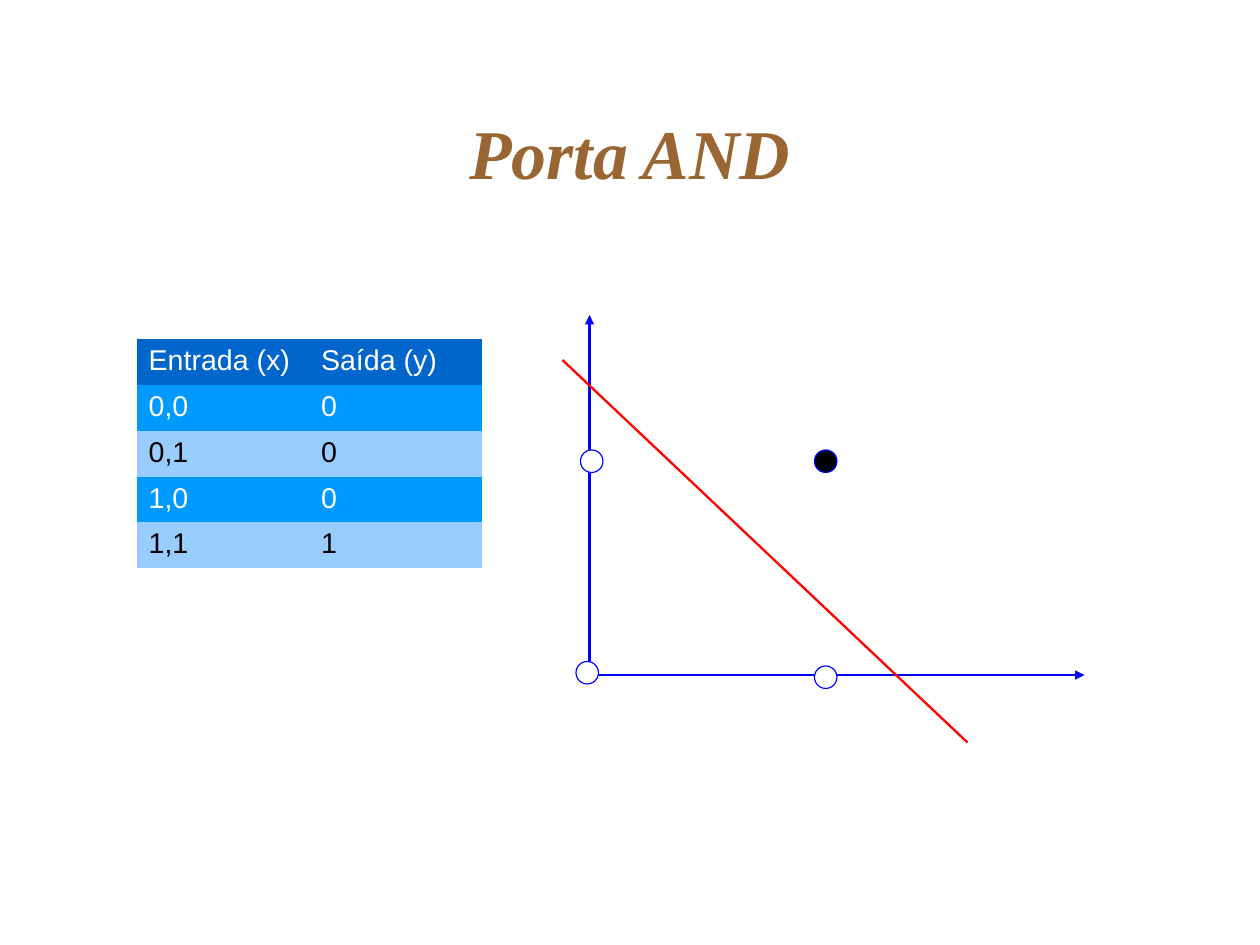
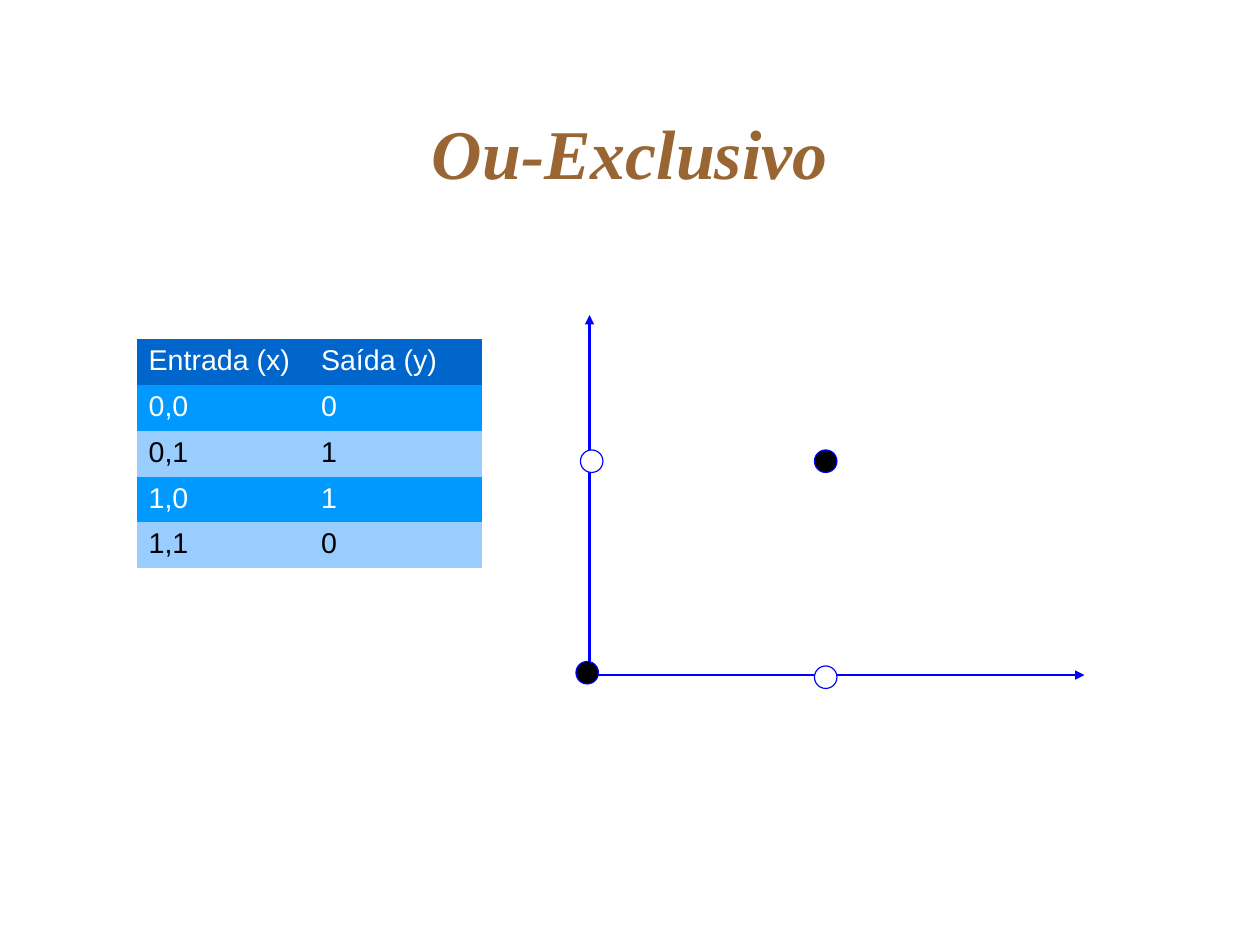
from pptx import Presentation
from pptx.dml.color import RGBColor
from pptx.enum.shapes import MSO_CONNECTOR as Connector, MSO_SHAPE as Shape
from pptx.enum.text import MSO_ANCHOR as Anchor, PP_ALIGN as Align
from pptx.oxml.ns import qn
from pptx.util import Cm, Pt
from lxml.etree import SubElement

BROWN = RGBColor(0x99, 0x66, 0x33)
BLUE = RGBColor(0x00, 0x00, 0xFF)
RED = RGBColor(0xFF, 0x00, 0x00)
BLACK = RGBColor(0x00, 0x00, 0x00)
WHITE = RGBColor(0xFF, 0xFF, 0xFF)
HEADER_BLUE = RGBColor(0x00, 0x66, 0xCC)
ODD_BLUE = RGBColor(0x00, 0x99, 0xFF)
EVEN_BLUE = RGBColor(0x99, 0xCC, 0xFF)

COLUMNS, ROWS = 28, 21
CELL = Cm(1)
PLAIN_TABLE = "{2D5ABB26-0587-4C30-8999-92F81FD0307C}"

TITLE_FONT = {"name": "Times New Roman", "size": Pt(44), "bold": True, "italic": True}
TABLE_FONT = {"name": "Arial", "size": Pt(18)}
TITLE_FRAME = {
    "word_wrap": True, "vertical_anchor": Anchor.MIDDLE,
    "margin_left": 0, "margin_right": 0, "margin_top": 0, "margin_bottom": 0,
}

INPUTS = ["0,0", "0,1", "1,0", "1,1"]
HEADINGS = ("Entrada (x)", "Saída (y)")
ORIGIN = (13.1, 15)
AXIS_ENDS = [(13.1, 7), (24.1, 15)]
DOT_SIZE = 0.5
DOTS = {"1,1": (18.1, 10), "0,0": (12.8, 14.7), "1,0": (18.1, 14.8), "0,1": (12.9, 10)}
GATES = [
    {"title": "Porta AND", "outputs": "0001", "filled": {"1,1"},
     "boundary": ((12.5, 8), (21.5, 16.5))},
    {"title": "Ou-Exclusivo", "outputs": "0110", "filled": {"0,0", "1,1"},
     "boundary": None},
]


def grid(*cells):
    return [round(cell * CELL) for cell in cells]


def set_format(target, values):
    for name, value in values.items():
        setattr(target, name, value)


class GateDeck:
    def __init__(self):
        self.deck = Presentation()
        self.deck.slide_width, self.deck.slide_height = grid(COLUMNS, ROWS)
        self.page = None

    def new_page(self):
        self.page = self.deck.slides.add_slide(self.deck.slide_layouts[6])

    def add_text(self, para, text, font, color):
        span = para.add_run()
        span.text = text
        set_format(span.font, font)
        span.font.color.rgb = color

    def title(self, text):
        box = self.page.shapes.add_textbox(*grid(2, 1.62, COLUMNS - 4, 3.5))
        set_format(box.text_frame, TITLE_FRAME)
        para = box.text_frame.paragraphs[0]
        para.alignment = Align.CENTER
        self.add_text(para, text, TITLE_FONT, BROWN)

    def line(self, start, end, color, arrow=False):
        line = self.page.shapes.add_connector(Connector.STRAIGHT, *grid(*start, *end))
        line.line.color.rgb = color
        line.line.width = Pt(1.45)
        properties = line.element.spPr
        if arrow:
            SubElement(properties.find(qn("a:ln")), qn("a:tailEnd"), type="triangle")
        SubElement(properties, qn("a:effectLst"))

    def dot(self, place, color):
        dot = self.page.shapes.add_shape(Shape.OVAL, *grid(*place, DOT_SIZE, DOT_SIZE))
        dot.shadow.inherit = False
        dot.fill.solid()
        dot.fill.fore_color.rgb = color
        dot.line.color.rgb = BLUE
        dot.line.width = Pt(0)

    def truth_table(self, outputs):
        rows = [HEADINGS, *zip(INPUTS, outputs)]
        width, height = 3.83, 0.97
        frame = self.page.shapes.add_table(
            len(rows), 2, *grid(3.05, 7.54, 2 * width, len(rows) * height))
        next(frame.element.iter(qn("a:tableStyleId"))).text = PLAIN_TABLE
        for index, row in enumerate(rows):
            fill = (EVEN_BLUE, ODD_BLUE)[index % 2] if index else HEADER_BLUE
            for column, text in enumerate(row):
                cell = frame.table.cell(index, column)
                cell.fill.solid()
                cell.fill.fore_color.rgb = fill
                color = BLACK if fill == EVEN_BLUE else WHITE
                self.add_text(cell.text_frame.paragraphs[0], text, TABLE_FONT, color)

    def gate(self, title, outputs, filled, boundary):
        self.new_page()
        self.title(title)
        for end in AXIS_ENDS:
            self.line(ORIGIN, end, BLUE, arrow=True)
        for point, place in DOTS.items():
            self.dot(place, BLACK if point in filled else WHITE)
        self.truth_table(outputs)
        if boundary:
            self.line(*boundary, RED)


def main():
    gates = GateDeck()
    for gate in GATES:
        gates.gate(**gate)
    gates.deck.save("out.pptx")


if __name__ == "__main__":
    main()
